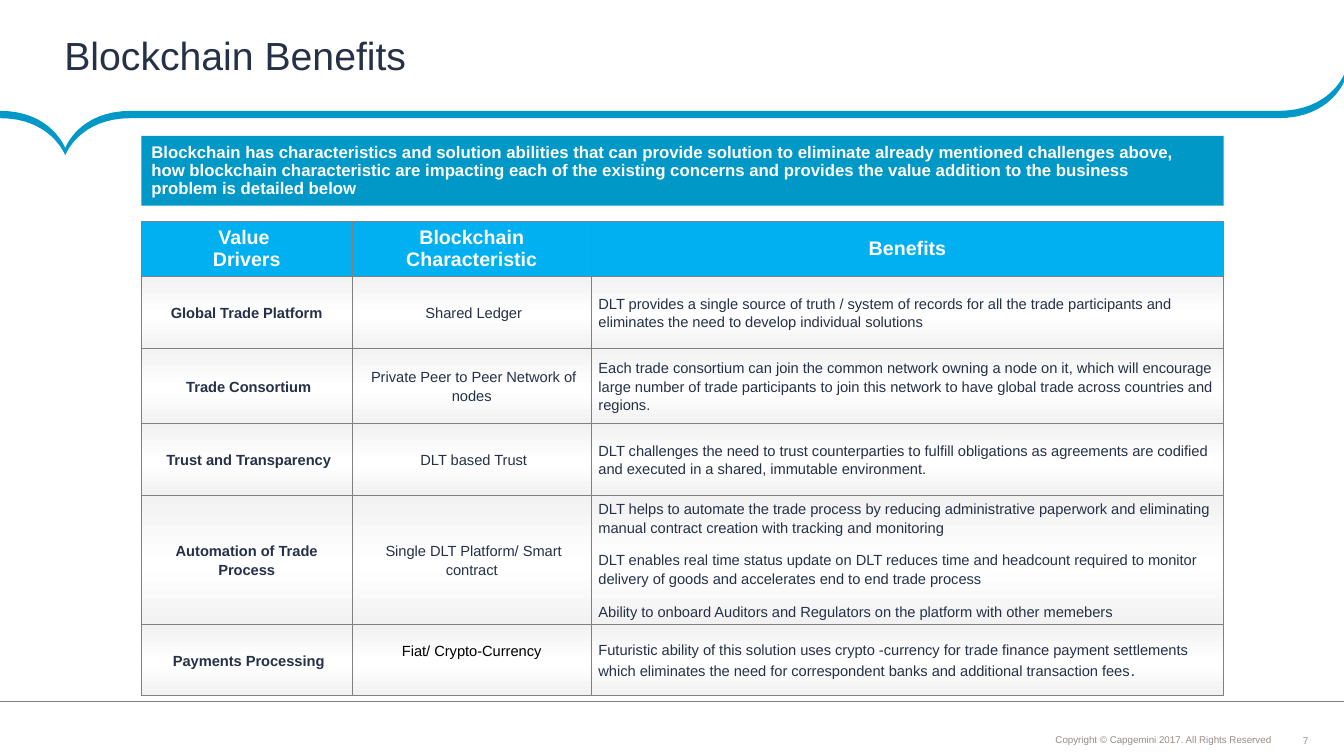
from lxml import etree
from pptx import Presentation
from pptx.dml.color import RGBColor
from pptx.enum.shapes import MSO_CONNECTOR, MSO_SHAPE
from pptx.enum.text import MSO_ANCHOR, MSO_AUTO_SIZE, PP_ALIGN
from pptx.oxml import parse_xml
from pptx.oxml.ns import nsdecls, qn
from pptx.util import Pt

LEFT, CENTER, RIGHT = PP_ALIGN.LEFT, PP_ALIGN.CENTER, PP_ALIGN.RIGHT
MIDDLE, BOTTOM = MSO_ANCHOR.MIDDLE, MSO_ANCHOR.BOTTOM
RECTANGLE, STRAIGHT = MSO_SHAPE.RECTANGLE, MSO_CONNECTOR.STRAIGHT
NO_AUTOFIT = MSO_AUTO_SIZE.NONE
TITLE_ONLY = 5

WIDTH, HEIGHT = 960, 540
TEAL, SKY, NAVY, WHITE = "0098C7", "00B0F0", "263147", "FFFFFF"
BLACK, GREY, TAUPE, PALE = "000000", "808080", "998C85", "F2F2F2"

BANNER_TEXT = (
    "Blockchain has characteristics and solution abilities that can provide solution to eliminate already mentioned challenges above, \n"
    "how blockchain characteristic are impacting each of the existing concerns and provides the value addition to the business \n"
    "problem is detailed below")
COLUMN_WIDTHS = [150.5, 171, 451.5]
ROW_HEIGHTS = [39.5, 51, 54, 51, 86, 51]
HEADERS = ["Value \nDrivers", "Blockchain Characteristic", "Benefits"]
ROWS = [
    ("Global Trade Platform", " Shared Ledger",
     ["DLT provides a single source of truth / system of records for all the trade participants and eliminates the need to develop individual solutions"]),
    (" Trade Consortium", " Private Peer to Peer Network of nodes",
     ["Each trade consortium can join the common network owning a node on it, which will encourage large number of trade participants to join this network to have global trade across countries and regions."]),
    (" Trust and Transparency", " DLT based Trust",
     ["DLT challenges the need to trust counterparties to fulfill obligations as agreements are codified and executed in a shared, immutable environment."]),
    ("Automation of Trade Process", " Single DLT Platform/ Smart contract",
     ["DLT helps to automate the trade process by reducing administrative paperwork and eliminating manual contract creation with tracking and monitoring",
      "DLT enables real time status update on DLT reduces time and headcount required to monitor delivery of goods and accelerates end to end trade process",
      "Ability to onboard Auditors and Regulators on the platform with other memebers"]),
    (" Payments Processing", " Fiat/ Crypto-Currency ",
     ["Futuristic ability of this solution uses crypto -currency for trade finance payment settlements which eliminates the need for correspondent banks and additional transaction fees"]),
]


def color(value):
    return RGBColor.from_string(value)


def style(paragraph, size, text_color, bold=False, align=LEFT, spacing=1.0):
    paragraph.alignment = align
    paragraph.line_spacing = spacing
    paragraph.font.name = "Arial"
    paragraph.font.size = Pt(size)
    paragraph.font.bold = bold
    paragraph.font.color.rgb = color(text_color)


def set_margins(target, left, top, right, bottom):
    target.margin_left, target.margin_top = Pt(left), Pt(top)
    target.margin_right, target.margin_bottom = Pt(right), Pt(bottom)


def add_title(slide, left, top, width, height):
    title = slide.shapes.title
    title.left, title.top, title.width, title.height = map(Pt, (left, top, width, height))
    frame = title.text_frame
    frame.text = "Blockchain Benefits"
    frame.auto_size = NO_AUTOFIT
    frame.vertical_anchor = MIDDLE
    set_margins(frame, 46, 3, 13, 3)
    style(frame.paragraphs[0], 28, NAVY)


def curve(start, bend, end, steps=16):
    """Points after start on a cubic whose second handle lies on its end."""
    points = []
    for step in range(1, steps + 1):
        t = step / steps
        weights = (1 - t) ** 3, 3 * t * (1 - t) ** 2, 3 * t ** 2 * (1 - t) + t ** 3
        points.append(tuple(sum(w * p[axis] for w, p in zip(weights, (start, bend, end)))
                            for axis in (0, 1)))
    return points


def add_ribbon(slide, left, top, width):
    """Draw a band that dips to a point on the left and rises at the right edge."""
    thickness, level, dip, tip, shoulder = 5.2, 26, 26.6, 46.6, 93.5
    bend = width - 10

    def edge(y, rise):
        tip_point = (tip, y + dip)
        outward = curve((shoulder, y), (56.2, y), tip_point)
        to_edge = curve((0, y), (36.7, y), tip_point)
        to_end = curve((width - 47, y), (bend, y), (width, rise))
        return [(0, y)] + to_edge + outward[-2::-1] + [(shoulder, y), (width - 47, y)] + to_end

    outline = edge(level, 0) + edge(level + thickness, thickness)[::-1]
    points = [(left + x, top + y) for x, y in outline]
    builder = slide.shapes.build_freeform(Pt(points[0][0]), Pt(points[0][1]))
    builder.add_line_segments([(Pt(x), Pt(y)) for x, y in points[1:]], close=True)
    ribbon = builder.convert_to_shape()
    ribbon.shadow.inherit = False
    ribbon.fill.solid()
    ribbon.fill.fore_color.rgb = color(TEAL)
    ribbon.line.fill.background()


def add_banner(slide, left, top, width, height):
    banner = slide.shapes.add_shape(RECTANGLE, Pt(left), Pt(top), Pt(width), Pt(height))
    banner.shadow.inherit = False
    banner.fill.solid()
    banner.fill.fore_color.rgb = color(TEAL)
    banner.line.fill.background()
    frame = banner.text_frame
    frame.word_wrap = True
    frame.vertical_anchor = MIDDLE
    paragraph = frame.paragraphs[0]
    paragraph.text = BANNER_TEXT
    style(paragraph, 12, WHITE, bold=True, spacing=0.9)


def add_borders(cell):
    properties = cell._tc.get_or_add_tcPr()
    for side in ("lnL", "lnR", "lnT", "lnB"):
        properties.append(parse_xml(
            f'<a:{side} {nsdecls("a")} w="6350"><a:solidFill><a:srgbClr val="{GREY}"/>'
            f'</a:solidFill></a:{side}>'))


def add_gradient(cell):
    stops = "".join(f'<a:gs pos="{position}000"><a:srgbClr val="{value}"/></a:gs>'
                    for position, value in ((0, PALE), (54, WHITE), (100, PALE)))
    cell._tc.get_or_add_tcPr().append(parse_xml(
        f'<a:gradFill {nsdecls("a")}><a:gsLst>{stops}</a:gsLst>'
        f'<a:lin ang="5400000" scaled="0"/></a:gradFill>'))


def fill_cell(cell, texts, size, text_color, bold, align, spacing=1.0, after=0):
    cell.vertical_anchor = MIDDLE
    set_margins(cell, 5, 0, 5, 0)
    add_borders(cell)
    frame = cell.text_frame
    for index, text in enumerate(texts):
        paragraph = frame.add_paragraph() if index else frame.paragraphs[0]
        paragraph.text = text
        paragraph.space_after = Pt(after)
        style(paragraph, size, text_color, bold, align, spacing)


def add_benefits_table(slide, left, top):
    table = slide.shapes.add_table(
        len(ROW_HEIGHTS), len(COLUMN_WIDTHS), Pt(left), Pt(top),
        Pt(sum(COLUMN_WIDTHS)), Pt(sum(ROW_HEIGHTS))).table
    table.first_row = table.horz_banding = False
    for column, width in zip(table.columns, COLUMN_WIDTHS):
        column.width = Pt(width)
    for row, height in zip(table.rows, ROW_HEIGHTS):
        row.height = Pt(height)
    for index, header in enumerate(HEADERS):
        cell = table.cell(0, index)
        fill_cell(cell, [header], 14, WHITE, True, CENTER)
        cell.fill.solid()
        cell.fill.fore_color.rgb = color(SKY)
    for row, (driver, characteristic, benefits) in enumerate(ROWS, 1):
        for column, texts in enumerate(([driver], [characteristic], benefits)):
            cell = table.cell(row, column)
            fill_cell(cell, texts, 10.5, NAVY, column == 0,
                      LEFT if column == 2 else CENTER, 1.15, 10)
            add_gradient(cell)
    currency_cell, payments_cell = table.cell(len(ROWS), 1), table.cell(len(ROWS), 2)
    currency_cell.margin_bottom = Pt(14)
    currency_cell.text_frame.paragraphs[0].font.color.rgb = color(BLACK)
    full_stop = payments_cell.text_frame.paragraphs[0].add_run()
    full_stop.text = "."
    full_stop.font.size = Pt(12)


def add_small_text(slide, text, left, top, width, height, align, anchor, margin, wrap):
    frame = slide.shapes.add_textbox(Pt(left), Pt(top), Pt(width), Pt(height)).text_frame
    frame.word_wrap = wrap
    frame.vertical_anchor = anchor
    set_margins(frame, margin, margin, margin, margin)
    frame.paragraphs[0].text = text
    style(frame.paragraphs[0], 7, TAUPE, align=align, spacing=0.9)


def add_footer(slide, left, top, width):
    rule = slide.shapes.add_connector(STRAIGHT, Pt(left), Pt(top), Pt(left + width), Pt(top))
    rule.line.color.rgb = color(GREY)
    rule.line.width = Pt(0.75)
    etree.SubElement(rule._element.spPr, qn("a:effectLst"))
    add_small_text(slide, "Copyright © Capgemini 2017. All Rights Reserved",
                   left + width - 307, top + 20.3, 258, 14.4, RIGHT, BOTTOM, 3, True)
    add_small_text(slide, "7", left + width - 32, top + 24, 9, 9, CENTER, MIDDLE, 0, False)


def main():
    presentation = Presentation()
    presentation.slide_width, presentation.slide_height = Pt(WIDTH), Pt(HEIGHT)
    slide = presentation.slides.add_slide(presentation.slide_layouts[TITLE_ONLY])
    add_ribbon(slide, 0, 53.2, WIDTH)
    add_footer(slide, 0, 501, WIDTH)
    add_title(slide, 0, 0, WIDTH, 79)
    add_banner(slide, 101, 97, sum(COLUMN_WIDTHS), 50)
    add_benefits_table(slide, 101, 158)
    presentation.save("out.pptx")


if __name__ == "__main__":
    main()
